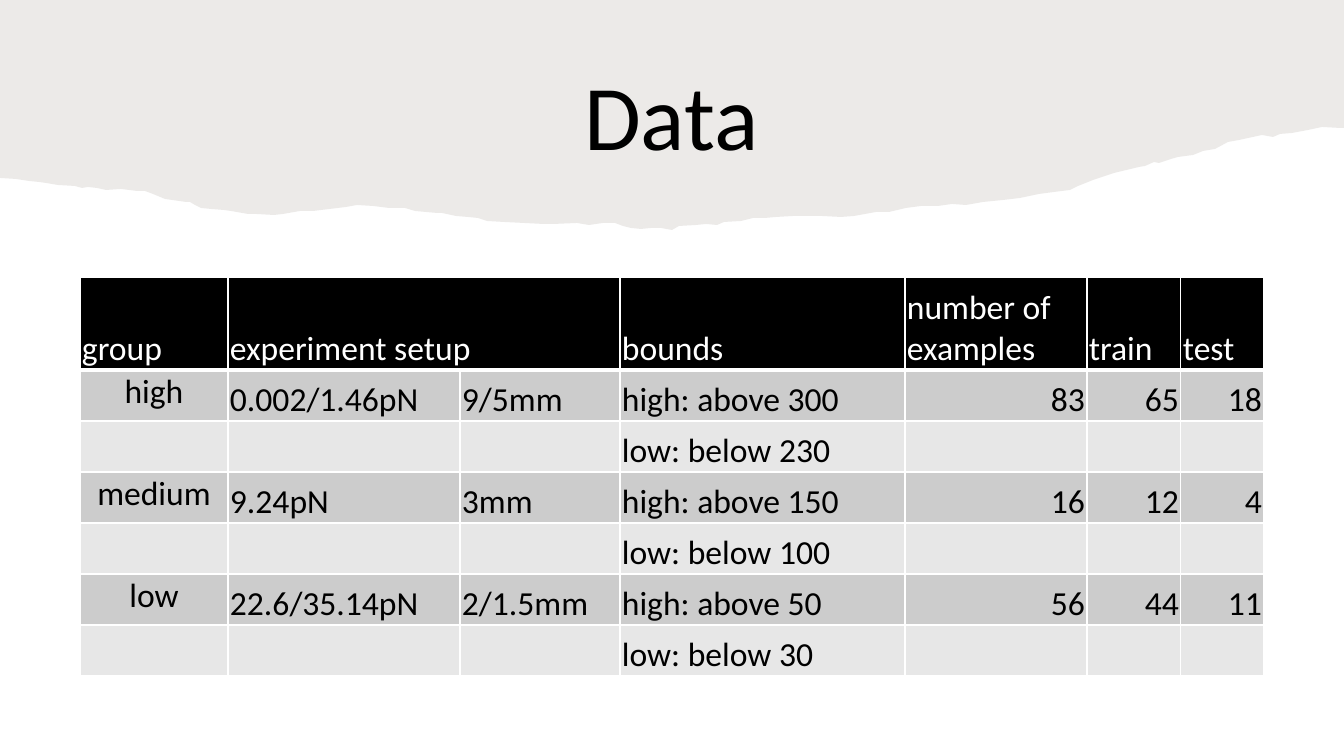
from lxml import etree
from pptx import Presentation
from pptx.dml.color import RGBColor
from pptx.enum.text import MSO_ANCHOR, MSO_AUTO_SIZE, PP_ALIGN
from pptx.oxml.ns import qn
from pptx.util import Emu, Pt

TOP, MIDDLE, BOTTOM = MSO_ANCHOR.TOP, MSO_ANCHOR.MIDDLE, MSO_ANCHOR.BOTTOM
LEFT, CENTER, RIGHT = PP_ALIGN.LEFT, PP_ALIGN.CENTER, PP_ALIGN.RIGHT
GROW = MSO_AUTO_SIZE.SHAPE_TO_FIT_TEXT
TITLE_ONLY = 5
SCALE = 914400 / 100.8

TITLE = "Data"
HEAD = ["group", "experiment setup", "", "bounds", "number of examples", "train", "test"]
GROUPS = [
    (["high", "0.002/1.46pN", "9/5mm", "high: above 300", "83", "65", "18"], "low: below 230"),
    (["medium", "9.24pN", "3mm", "high: above 150", "16", "12", "4"], "low: below 100"),
    (["low", "22.6/35.14pN", "2/1.5mm", "high: above 50", "56", "44", "11"], "low: below 30"),
]
BOUNDS = 3
COLS = [148, 232, 160, 285, 182, 94, 83]
ALIGNS = [CENTER, LEFT, LEFT, LEFT, RIGHT, RIGHT, RIGHT]
HEAD_H, ROW_H = 93, 51
SLIDE = (1344, 756)
TITLE_BOX = (574, 53, 197, 122)
TABLE_AT = (80, 277)
INSET = 2

THEME = {
    "font": "Calibri", "title": 66, "cell": 24,
    "ink": "000000", "paper": "FFFFFF", "head": "000000",
    "bands": ["CCCCCC", "E7E7E7"], "torn": "82766A", "alpha": 15,
    "line": 1, "rule": 3,
}

# Torn lower edge of the header band, from right to left
EDGE = [
    (1344, 128), (1340, 128), (1322, 127), (1308, 130), (1292, 133), (1280, 134),
    (1273, 137), (1262, 135), (1239, 140), (1228, 142), (1215, 149), (1203, 151),
    (1193, 155), (1178, 157), (1171, 159), (1159, 163), (1154, 162), (1145, 166),
    (1139, 167), (1114, 173), (1093, 180), (1078, 186), (1070, 190), (1054, 192),
    (1039, 194), (1020, 198), (1003, 200), (983, 202), (966, 205), (952, 204),
    (938, 206), (921, 206), (906, 208), (889, 212), (876, 212), (854, 216),
    (841, 217), (822, 216), (793, 216), (776, 217), (765, 218), (753, 218),
    (741, 221), (724, 222), (717, 225), (706, 224), (696, 225), (679, 226),
    (672, 230), (661, 228), (651, 228), (641, 229), (631, 228), (623, 226),
    (615, 223), (603, 223), (589, 225), (577, 223), (554, 224), (543, 224),
    (524, 223), (504, 222), (487, 221), (478, 218), (468, 217), (456, 216),
    (442, 213), (437, 213), (415, 211), (405, 208), (389, 208), (373, 206),
    (357, 205), (346, 207), (313, 211), (300, 211), (283, 214), (274, 215),
    (256, 214), (248, 214), (231, 211), (224, 210), (211, 209), (201, 208),
    (195, 205), (190, 202), (186, 202), (165, 199), (153, 194), (145, 191),
    (137, 191), (121, 189), (106, 190), (97, 188), (88, 187), (82, 188),
    (75, 186), (58, 185), (46, 183), (39, 182), (29, 181), (16, 179), (0, 178),
]


def px(n):
    """Turn pixels into EMU."""
    return Emu(round(n * SCALE))


def paint(fill, tone):
    """Give a fill one solid colour."""
    fill.solid()
    fill.fore_color.rgb = RGBColor.from_string(tone)


def style(para, size, tone, align):
    """Format the runs of a paragraph."""
    para.alignment = align
    for run in para.runs:
        run.font.name = THEME["font"]
        run.font.size = Pt(size)
        run.font.color.rgb = RGBColor.from_string(tone)


def border(cell, side, width):
    """Draw one side of a cell in the paper colour."""
    props = cell._tc.get_or_add_tcPr()
    line = etree.SubElement(props, qn("a:ln" + side), w=str(Pt(width)))
    solid = etree.SubElement(line, qn("a:solidFill"))
    etree.SubElement(solid, qn("a:srgbClr"), val=THEME["paper"])


def add_title(slide):
    """Fill and place the title."""
    title = slide.shapes.title
    title.left, title.top, title.width, title.height = map(px, TITLE_BOX)
    frame = title.text_frame
    frame.text = TITLE
    frame.word_wrap = False
    frame.auto_size = GROW
    frame.vertical_anchor = MIDDLE
    style(frame.paragraphs[0], THEME["title"], THEME["ink"], LEFT)


def add_torn(slide):
    """Draw the torn band behind the title."""
    pen = slide.shapes.build_freeform(0, 0, scale=SCALE)
    pen.add_line_segments([(SLIDE[0], 0)] + EDGE, close=True)
    torn = pen.convert_to_shape()
    torn.shadow.inherit = False
    torn.line.fill.background()
    paint(torn.fill, THEME["torn"])
    tone = torn.element.spPr.find(qn("a:solidFill"))[0]
    etree.SubElement(tone, qn("a:alpha"), val=str(THEME["alpha"] * 1000))
    slide.shapes.title.element.addprevious(torn.element)


def fill_cell(cell, text, row, col):
    """Set the text, borders and fill of a cell."""
    head = row == 0
    cell.margin_left = cell.margin_right = cell.margin_top = px(INSET)
    cell.margin_bottom = 0
    cell.vertical_anchor = TOP if col == 0 and not head else BOTTOM
    cell.text = text
    tone = THEME["paper"] if head else THEME["ink"]
    style(cell.text_frame.paragraphs[0], THEME["cell"], tone, LEFT if head else ALIGNS[col])
    thick = {"T": row == 1, "B": head}
    for side in "LRTB":
        border(cell, side, THEME["rule"] if thick.get(side) else THEME["line"])
    paint(cell.fill, THEME["head"] if head else THEME["bands"][(row - 1) % 2])


def add_data(slide):
    """Build the table of groups."""
    rows = [HEAD]
    for high, low in GROUPS:
        rows += [high, [low if col == BOUNDS else "" for col in range(len(COLS))]]
    tall = [HEAD_H] + [ROW_H] * (len(rows) - 1)
    size = (sum(COLS), sum(tall))
    table = slide.shapes.add_table(len(rows), len(COLS), *map(px, TABLE_AT + size)).table
    for col, width in enumerate(COLS):
        table.columns[col].width = px(width)
    for row, texts in enumerate(rows):
        table.rows[row].height = px(tall[row])
        for col, text in enumerate(texts):
            fill_cell(table.cell(row, col), text, row, col)
    table.cell(0, 1).merge(table.cell(0, 2))


deck = Presentation()
deck.slide_width, deck.slide_height = map(px, SLIDE)
page = deck.slides.add_slide(deck.slide_layouts[TITLE_ONLY])
add_title(page)
add_torn(page)
add_data(page)
deck.save("out.pptx")
